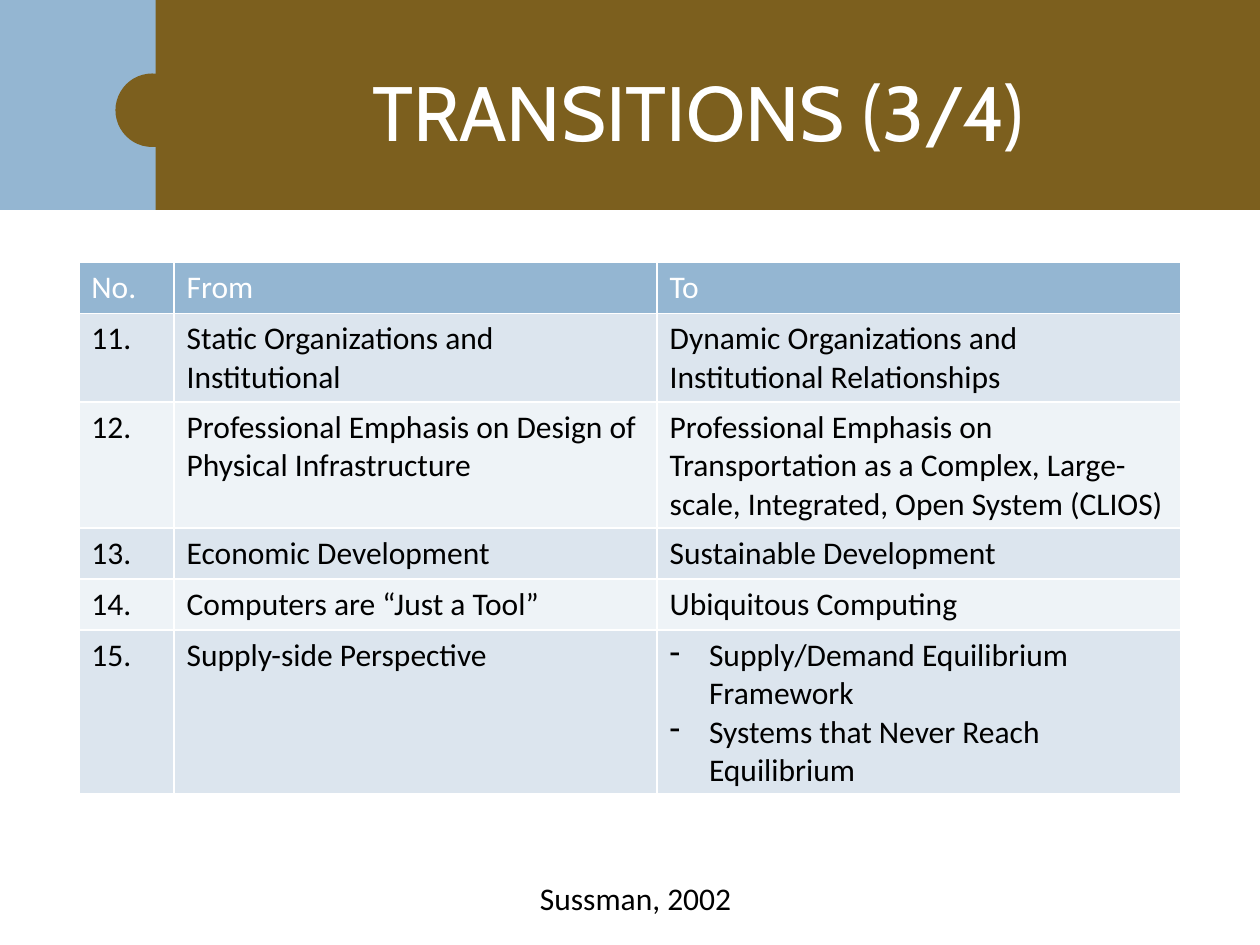
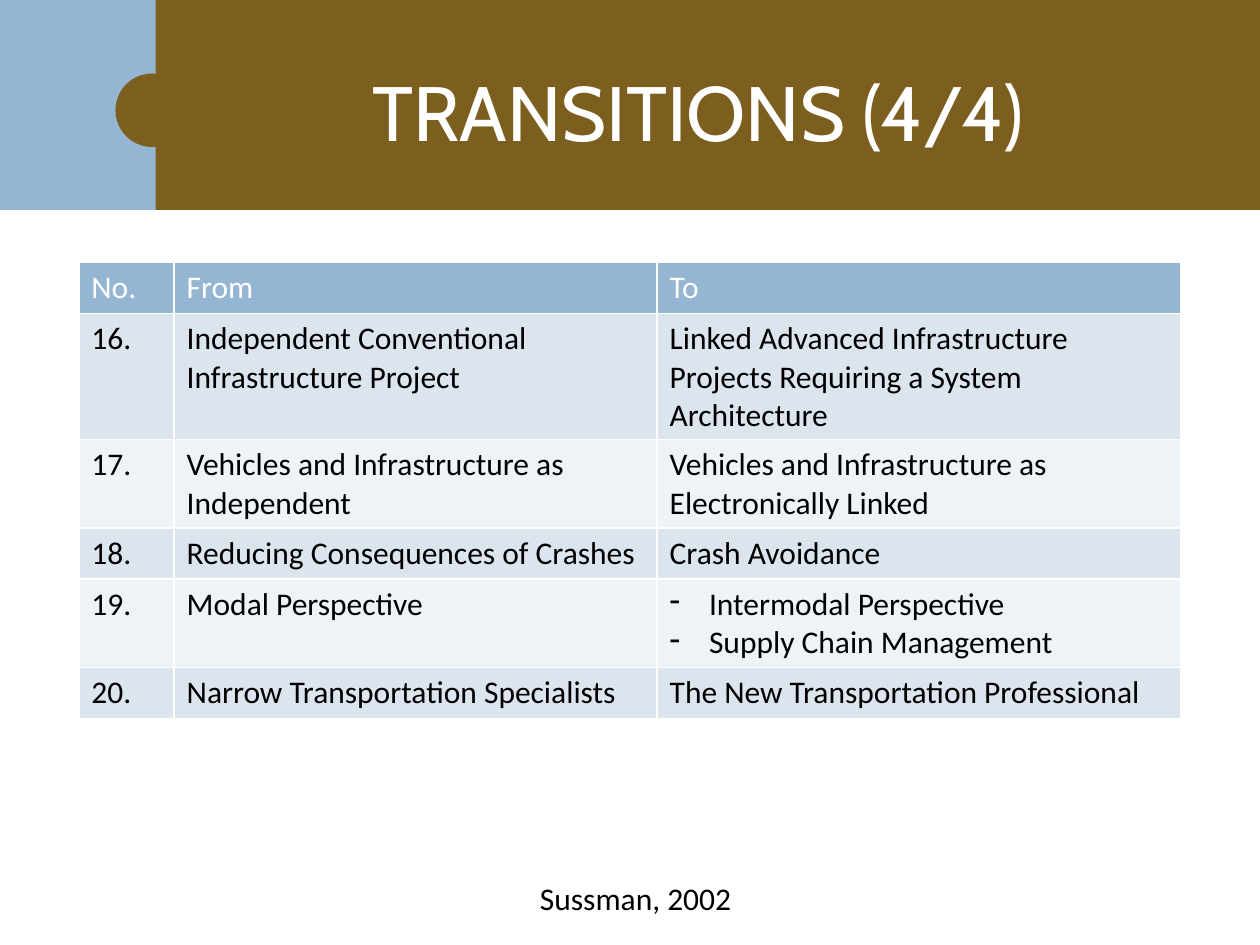
from lxml.etree import SubElement
from pptx import Presentation
from pptx.dml.color import RGBColor
from pptx.enum.shapes import MSO_SHAPE as Shape
from pptx.enum.text import MSO_ANCHOR as Anchor, MSO_AUTO_SIZE as AutoSize, PP_ALIGN as Align
from pptx.oxml.ns import qn
from pptx.util import Pt

# Shared style
BLUE, BROWN, WHITE, BLACK = "94B6D2", "7C5F1E", "FFFFFF", "000000"
ROW_BANDS = ("DCE5EE", "EEF3F7")
TITLE_FONT, BODY_FONT = "Cabin", "Calibri"
TITLE_SIZE, BODY_SIZE = 44, 18
SLIDE_WIDTH, SLIDE_HEIGHT = 720, 540
BAND_HEIGHT, BAND_LEFT = 120, 89
KNOB_LEFT, KNOB_SIZE = 66, 42
TABLE_LEFT, TABLE_TOP, ROW_HEIGHT = 45, 150, 29.2
COLUMN_WIDTHS = (54.5, 276, 299.5)
BULLET_INDENT = 22.5

# Content: a list in a cell becomes dashed paragraphs
HEADER = ("No.", "From", "To")
SOURCE = "Sussman, 2002"
TRANSITIONS = [
    ("TRANSITIONS (3/4)", 11, [
        ("Static Organizations and Institutional",
         "Dynamic Organizations and Institutional Relationships"),
        ("Professional Emphasis on Design of Physical Infrastructure",
         "Professional Emphasis on Transportation as a Complex, "
         "Large-scale, Integrated, Open System (CLIOS)"),
        ("Economic Development", "Sustainable Development"),
        ("Computers are “Just a Tool”", "Ubiquitous Computing"),
        ("Supply-side Perspective",
         ["Supply/Demand Equilibrium Framework",
          "Systems that Never Reach Equilibrium"]),
    ]),
    ("TRANSITIONS (4/4)", 16, [
        ("Independent Conventional Infrastructure Project",
         "Linked Advanced Infrastructure Projects Requiring a System Architecture"),
        ("Vehicles and Infrastructure as Independent",
         "Vehicles and Infrastructure as Electronically Linked"),
        ("Reducing Consequences of Crashes", "Crash Avoidance"),
        ("Modal Perspective",
         ["Intermodal Perspective", "Supply Chain Management"]),
        ("Narrow Transportation Specialists", "The New Transportation Professional"),
    ]),
]


def paint(fill, color):
    fill.solid()
    fill.fore_color.rgb = RGBColor.from_string(color)


class Deck:
    def __init__(self):
        self.presentation = Presentation()
        self.presentation.slide_width = Pt(SLIDE_WIDTH)
        self.presentation.slide_height = Pt(SLIDE_HEIGHT)
        self.slide = None

    def new_slide(self):
        self.slide = self.presentation.slides.add_slide(self.presentation.slide_layouts[6])

    def shape(self, kind, left, top, width, height, color):
        shape = self.slide.shapes.add_shape(kind, Pt(left), Pt(top), Pt(width), Pt(height))
        shape.shadow.inherit = False
        paint(shape.fill, color)
        shape.line.fill.background()

    def band(self):
        self.shape(Shape.RECTANGLE, 0, 0, 90, BAND_HEIGHT, BLUE)
        self.shape(Shape.RECTANGLE, BAND_LEFT, 0, SLIDE_WIDTH - BAND_LEFT, BAND_HEIGHT, BROWN)
        self.shape(Shape.OVAL, KNOB_LEFT, 42, KNOB_SIZE, KNOB_SIZE, BROWN)

    def format_text(self, text_frame, font, size, color):
        for paragraph in text_frame.paragraphs:
            for run in paragraph.runs:
                run.font.name = font
                run.font.size = Pt(size)
                run.font.bold = False
                run.font.color.rgb = RGBColor.from_string(color)

    def text_box(self, text, left, top, width, height, font, size, color, align):
        box = self.slide.shapes.add_textbox(Pt(left), Pt(top), Pt(width), Pt(height))
        text_frame = box.text_frame
        text_frame.text = text
        text_frame.paragraphs[0].alignment = align
        self.format_text(text_frame, font, size, color)
        return text_frame

    def title(self, text):
        text_frame = self.text_box(text, 96, 18, 606, 90,
                                   TITLE_FONT, TITLE_SIZE, WHITE, Align.CENTER)
        text_frame.word_wrap = True
        text_frame.vertical_anchor = Anchor.MIDDLE

    def source(self, text):
        text_frame = self.text_box(text, 295, 498.5, 130, 29,
                                   BODY_FONT, BODY_SIZE, BLACK, Align.RIGHT)
        text_frame.word_wrap = False
        text_frame.auto_size = AutoSize.SHAPE_TO_FIT_TEXT

    def bullet(self, paragraph):
        properties = paragraph._p.get_or_add_pPr()
        properties.set("marL", str(Pt(BULLET_INDENT)))
        properties.set("indent", str(-Pt(BULLET_INDENT)))
        SubElement(properties, qn("a:buFontTx"))
        SubElement(properties, qn("a:buChar")).set("char", "-")

    def borders(self, cell):
        properties = cell._tc.get_or_add_tcPr()
        for side in "LRTB":
            line = SubElement(properties, qn(f"a:ln{side}"), w=str(Pt(1)))
            fill = SubElement(line, qn("a:solidFill"))
            SubElement(fill, qn("a:srgbClr"), val=WHITE)

    def cell(self, cell, content, fill, color):
        if isinstance(content, list):
            cell.text_frame.text = "\n".join(content)
            for paragraph in cell.text_frame.paragraphs:
                self.bullet(paragraph)
        else:
            cell.text_frame.text = content
        self.format_text(cell.text_frame, BODY_FONT, BODY_SIZE, color)
        self.borders(cell)
        paint(cell.fill, fill)

    def table(self, rows):
        table = self.slide.shapes.add_table(
            len(rows), len(COLUMN_WIDTHS), Pt(TABLE_LEFT), Pt(TABLE_TOP),
            Pt(sum(COLUMN_WIDTHS)), Pt(ROW_HEIGHT * len(rows))).table
        for column, width in zip(table.columns, COLUMN_WIDTHS):
            column.width = Pt(width)
        for row_index, row in enumerate(rows):
            is_header = row_index == 0
            fill = BLUE if is_header else ROW_BANDS[(row_index - 1) % 2]
            for column_index, content in enumerate(row):
                self.cell(table.cell(row_index, column_index), content, fill,
                          WHITE if is_header else BLACK)


def main():
    deck = Deck()
    for title, first_number, pairs in TRANSITIONS:
        deck.new_slide()
        deck.band()
        deck.title(title)
        numbered = [(f"{number}.", *pair) for number, pair in enumerate(pairs, first_number)]
        deck.table([HEADER, *numbered])
        deck.source(SOURCE)
    deck.presentation.save("out.pptx")


if __name__ == "__main__":
    main()
